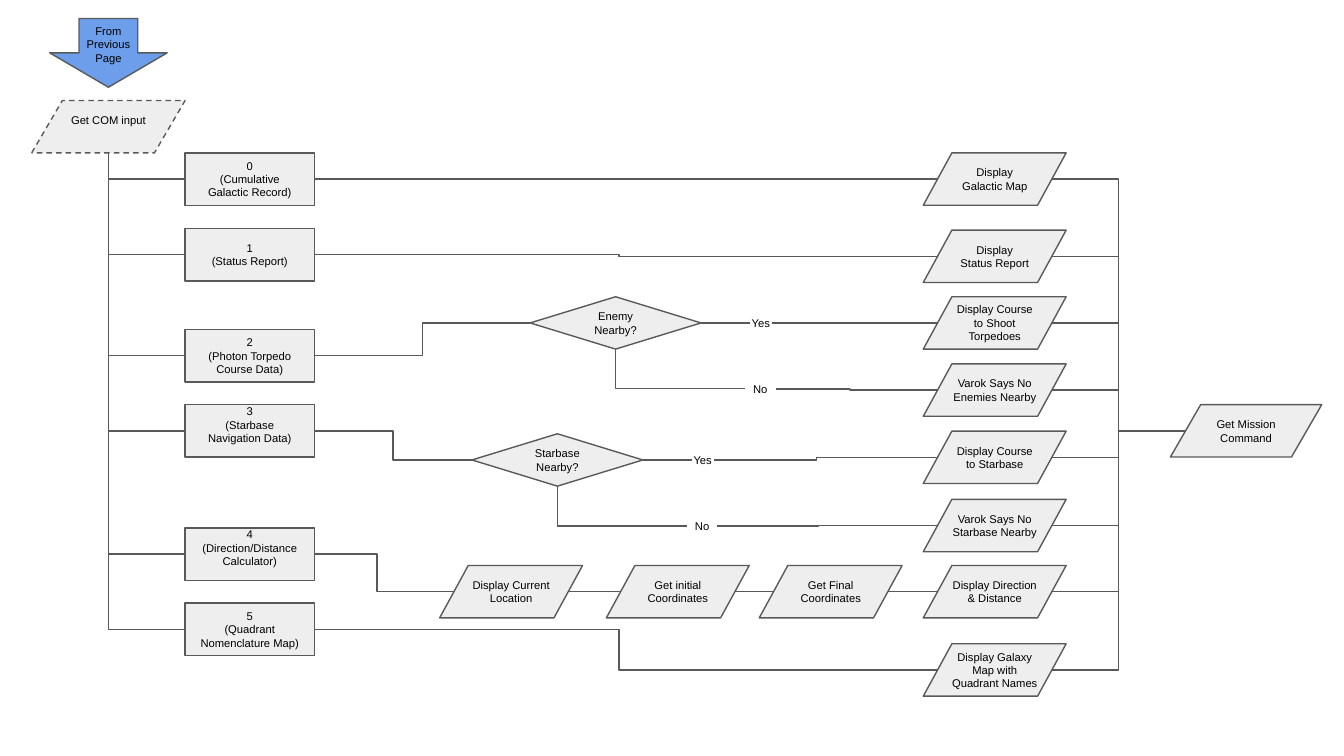
import pptx
import pptx.util
import pptx.dml.color
import pptx.enum.dml
import pptx.enum.shapes
import pptx.enum.text
import pptx.oxml.ns
import lxml.etree

Cm = pptx.util.Cm
Pt = pptx.util.Pt
kinds = pptx.enum.shapes.MSO_SHAPE
rgb = pptx.dml.color.RGBColor.from_string
qn = pptx.oxml.ns.qn

deck = pptx.Presentation()
deck.slide_width = Cm(25.4)
deck.slide_height = Cm(14.29)
slide = deck.slides.add_slide(deck.slide_layouts[6])


def add_step(kind, left, top, width, height, lines, fill="EEEEEE", inset=0, lift=0):
    area = [Cm(length) for length in (left, top, width, height)]
    if kind is None:
        step = slide.shapes.add_textbox(*area)
    else:
        step = slide.shapes.add_shape(kind, *area)
        step.shadow.inherit = False
        step.fill.solid()
        step.fill.fore_color.rgb = rgb(fill)
        step.line.color.rgb = rgb("595959")
        step.line.width = Pt(0.75)
    frame = step.text_frame
    frame.word_wrap = True
    frame.vertical_anchor = pptx.enum.text.MSO_ANCHOR.MIDDLE
    frame.margin_left = frame.margin_right = frame.margin_top = Cm(inset)
    frame.margin_bottom = Cm(inset + lift)
    for index, line in enumerate(lines):
        paragraph = frame.add_paragraph() if index else frame.paragraphs[0]
        paragraph.alignment = pptx.enum.text.PP_ALIGN.CENTER
        run = paragraph.add_run()
        run.text = line
        run.font.name = "Arial"
        run.font.size = Pt(6)
        run.font.color.rgb = rgb("000000")
    return step


def add_link(x1, y1, x2, y2, bend=0.5):
    link = slide.shapes.add_connector(
        pptx.enum.shapes.MSO_CONNECTOR.ELBOW, Cm(x1), Cm(y1), Cm(x2), Cm(y2))
    link.line.color.rgb = rgb("595959")
    link.line.width = Pt(0.75)
    properties = link._element.spPr
    guides = properties.find(qn("a:prstGeom")).find(qn("a:avLst"))
    lxml.etree.SubElement(guides, qn("a:gd"), name="adj1", fmla=f"val {round(bend * 100000)}")
    lxml.etree.SubElement(properties, qn("a:effectLst"))


step_height = 0.99
middle = step_height / 2
blank_line = 0.24
trunk_x, trunk_y = 2.05, 2.89
choice_x, choice_width = 3.5, 2.44
choice_right = choice_x + choice_width
display_x, display_width = 17.45, 2.7
slant = display_width / 10
display_left = display_x + slant
display_right = display_x + display_width - slant
mission_x, mission_y = 22.12, 7.65

com_input = add_step(kinds.FLOWCHART_DATA, 0.6, 1.9, 2.9, step_height,
                     ["Get COM input"], lift=blank_line)
com_input.line.dash_style = pptx.enum.dml.MSO_LINE.DASH
add_step(kinds.DOWN_ARROW, 0.94, 0.35, 2.22, 1.3, ["From Previous Page"], fill="6D9EEB")
add_step(kinds.FLOWCHART_DATA, mission_x, mission_y, 2.86, step_height, ["Get Mission Command"])

choices = [
    (2.89, ["0", "(Cumulative Galactic Record)"], 0),
    (4.32, ["1", "(Status Report)"], 0),
    (6.23, ["2", "(Photon Torpedo Course Data)"], 0),
    (7.65, ["3", "(Starbase Navigation Data)"], blank_line),
    (9.98, ["4 (Direction/Distance Calculator)"], blank_line),
    (11.4, ["5", "(Quadrant Nomenclature Map)"], 0),
]
for top, lines, lift in choices:
    add_link(trunk_x, trunk_y, choice_x, top + middle, 0)
    add_step(kinds.FLOWCHART_PROCESS, choice_x, top, choice_width, step_height, lines,
             inset=0.25, lift=lift)

displays = [
    (2.89, ["Display", "Galactic Map"]),
    (4.35, ["Display", "Status Report"]),
    (5.61, ["Display Course to Shoot Torpedoes"]),
    (6.88, ["Varok Says No Enemies Nearby"]),
    (8.15, ["Display Course to Starbase"]),
    (9.44, ["Varok Says No Starbase Nearby"]),
    (10.69, ["Display Direction & Distance"]),
    (12.17, ["Display Galaxy Map with Quadrant Names"]),
]
for top, lines in displays:
    add_step(kinds.FLOWCHART_DATA, display_x, top, display_width, step_height, lines)
    add_link(display_right, top + middle, mission_x + 0.29, mission_y + middle, 0.497)

for choice, display in [(0, 0), (1, 1), (5, 7)]:
    add_link(choice_right, choices[choice][0] + middle,
             display_left, displays[display][0] + middle, 0.489)

decision_width = 3.23
decisions = [
    (10.02, 5.61, "Enemy Nearby?", 2, 2),
    (8.92, 8.2, "Starbase Nearby?", 3, 4),
]
for left, top, question, choice, display in decisions:
    add_step(kinds.FLOWCHART_DECISION, left, top, decision_width, step_height, [question], inset=0.25)
    add_link(choice_right, choices[choice][0] + middle, left, top + middle)
    yes_x, no_x = left + 4.15, left + 4.06
    yes_y, no_y = top + middle, top + 1.74
    add_step(None, yes_x, yes_y - 0.14, 0.42, 0.28, ["Yes"])
    add_step(None, no_x, no_y - 0.19, 0.58, 0.38, ["No"])
    add_link(left + decision_width, yes_y, yes_x, yes_y)
    add_link(yes_x + 0.42, yes_y, display_left, displays[display][0] + middle, 0.46)
    add_link(left + decision_width / 2, top + step_height, no_x, no_y, 0)
    add_link(no_x + 0.58, no_y, display_left, displays[display + 1][0] + middle, 0.46)

direction_y = displays[6][0]
previous_x, previous_y, bend = choice_right, choices[4][0] + middle, 0.449
for left, prompt in [(8.31, "Display Current Location"),
                     (11.46, "Get initial Coordinates"),
                     (14.35, "Get Final Coordinates")]:
    add_step(kinds.FLOWCHART_DATA, left, direction_y, display_width, step_height, [prompt])
    add_link(previous_x, previous_y, left + slant, direction_y + middle, bend)
    previous_x, previous_y, bend = left + display_width - slant, direction_y + middle, 0.5
add_link(previous_x, previous_y, display_left, previous_y)

deck.save("out.pptx")
